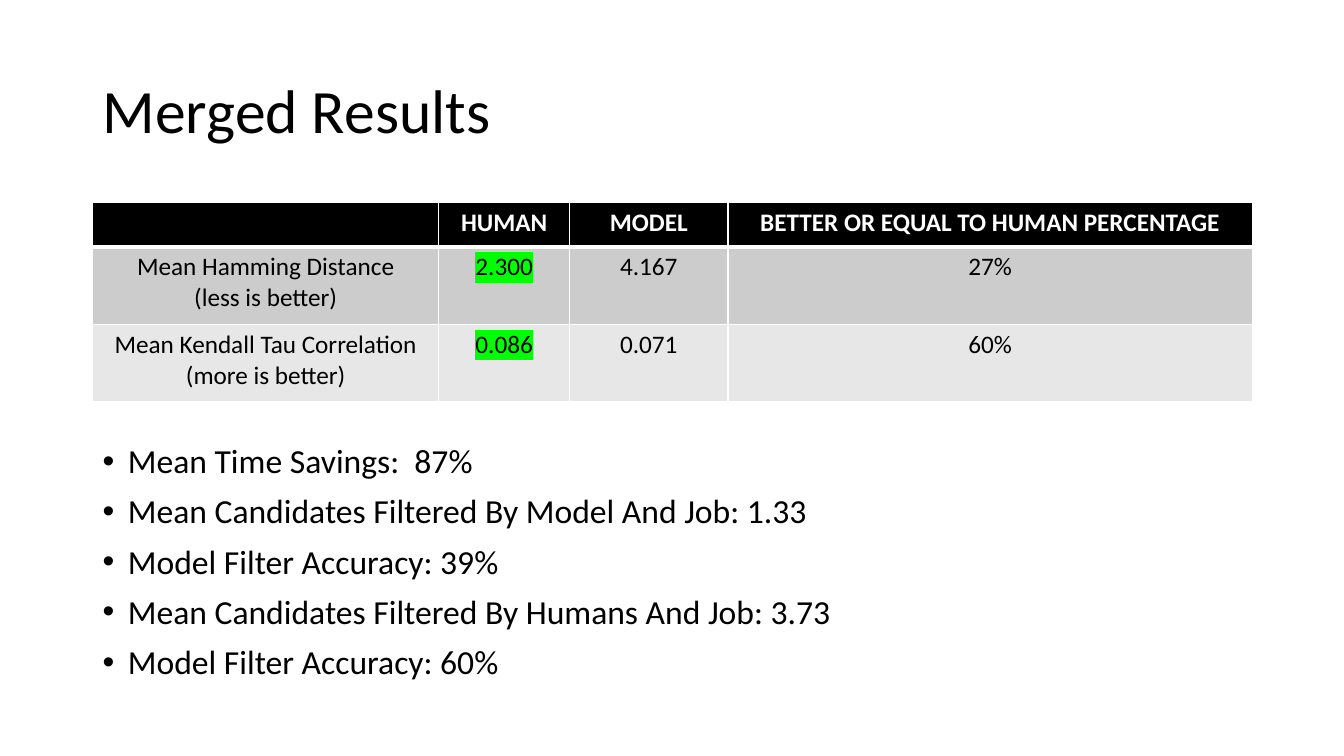
from dataclasses import dataclass

from lxml import etree
from pptx import Presentation
from pptx import util as u
from pptx.dml.color import RGBColor
from pptx.enum import text
from pptx.oxml import ns


@dataclass(frozen=True)
class Theme:
    font: str = "Calibri"
    black: str = "000000"
    white: str = "FFFFFF"
    highlight: str = "00FF00"
    bands: tuple[str, ...] = ("CCCCCC", "E7E7E7")
    title_size: int = 44
    table_size: int = 18
    bullet_size: int = 24


@dataclass(frozen=True)
class Measure:
    name: str
    hint: str
    human: str
    model: str
    share: str


THEME = Theme()
LEFT, WIDTH = 0.92, 11.5
COLUMN_WIDTHS = (3.43, 1.3, 1.57, 5.2)
ROW_HEIGHTS = (0.44, 0.77, 0.77)
HEADERS = ("", "HUMAN", "MODEL", "BETTER OR EQUAL TO HUMAN PERCENTAGE")
MEASURES = (
    Measure("Mean Hamming Distance", "(less is better)", "2.300", "4.167", "27%"),
    Measure("Mean Kendall Tau Correlation", "(more is better)", "0.086", "0.071", "60%"),
)
BULLETS = (
    "Mean Time Savings:  87%",
    "Mean Candidates Filtered By Model And Job: 1.33",
    "Model Filter Accuracy: 39%",
    "Mean Candidates Filtered By Humans And Job: 3.73",
    "Model Filter Accuracy: 60%",
)


def add_run(p, content: str, size: int, color: str = THEME.black, bold: bool = False):
    r = p.add_run()
    r.text = content
    r.font.name = THEME.font
    r.font.size = u.Pt(size)
    r.font.bold = bold
    r.font.color.rgb = RGBColor.from_string(color)
    return r


def highlight(r) -> None:
    """Mark the run's background; the element must follow the text fill."""
    mark = etree.Element(ns.qn("a:highlight"))
    etree.SubElement(mark, ns.qn("a:srgbClr"), val=THEME.highlight)
    r.font._element.find(ns.qn("a:solidFill")).addnext(mark)


def add_text_frame(s, top: float, height: float, anchor: text.MSO_ANCHOR):
    sp = s.shapes.add_textbox(u.Inches(LEFT), u.Inches(top), u.Inches(WIDTH), u.Inches(height))
    tf = sp.text_frame
    tf.word_wrap = True
    tf.vertical_anchor = anchor
    return tf


def add_title(s) -> None:
    p = add_text_frame(s, 0.4, 1.45, text.MSO_ANCHOR.MIDDLE).paragraphs[0]
    p.line_spacing = 0.9
    add_run(p, "Merged Results", THEME.title_size)


def style_cell(cell, fill: str, top: float = 1, bottom: float = 1) -> None:
    """Fill the cell and draw its white borders, with widths in points."""
    cell.fill.solid()
    cell.fill.fore_color.rgb = RGBColor.from_string(fill)
    tc_pr = cell._tc.get_or_add_tcPr()
    for i, (side, width) in enumerate((("L", 1), ("R", 1), ("T", top), ("B", bottom))):
        ln = etree.Element(ns.qn(f"a:ln{side}"), w=str(u.Pt(width)))
        solid = etree.SubElement(ln, ns.qn("a:solidFill"))
        etree.SubElement(solid, ns.qn("a:srgbClr"), val=THEME.white)
        tc_pr.insert(i, ln)


def add_results_table(s) -> None:
    table = s.shapes.add_table(
        len(ROW_HEIGHTS), len(COLUMN_WIDTHS), u.Inches(LEFT), u.Inches(2.01),
        u.Inches(WIDTH), u.Inches(sum(ROW_HEIGHTS)),
    ).table
    for column, width in zip(table.columns, COLUMN_WIDTHS):
        column.width = u.Inches(width)
    for row, height in zip(table.rows, ROW_HEIGHTS):
        row.height = u.Inches(height)

    for col, header in enumerate(HEADERS):
        cell = table.cell(0, col)
        style_cell(cell, THEME.black, bottom=3)
        if header:
            p = cell.text_frame.paragraphs[0]
            p.alignment = text.PP_ALIGN.CENTER
            add_run(p, header, THEME.table_size, THEME.white, bold=True)

    for row, (measure, band) in enumerate(zip(MEASURES, THEME.bands), start=1):
        values = (measure.name, measure.human, measure.model, measure.share)
        for col, value in enumerate(values):
            cell = table.cell(row, col)
            style_cell(cell, band, top=3 if row == 1 else 1)
            p = cell.text_frame.paragraphs[0]
            p.alignment = text.PP_ALIGN.CENTER
            r = add_run(p, value, THEME.table_size)
            if value == measure.name:
                p.add_line_break()
                add_run(p, measure.hint, THEME.table_size)
            elif value == measure.human:
                highlight(r)


def add_bullets(s) -> None:
    tf = add_text_frame(s, 4.36, 2.66, text.MSO_ANCHOR.TOP)
    for i, bullet in enumerate(BULLETS):
        p = tf.add_paragraph() if i else tf.paragraphs[0]
        p.line_spacing = 0.9
        p.space_before = u.Pt(10)
        p_pr = p._p.get_or_add_pPr()
        p_pr.set("marL", str(u.Inches(0.25)))
        p_pr.set("indent", str(-u.Inches(0.25)))
        etree.SubElement(p_pr, ns.qn("a:buFont"), typeface="Arial")
        etree.SubElement(p_pr, ns.qn("a:buChar"), char="•")
        add_run(p, bullet, THEME.bullet_size)


def main() -> None:
    prs = Presentation()
    prs.slide_width, prs.slide_height = u.Inches(13.33), u.Inches(7.5)
    s = prs.slides.add_slide(prs.slide_layouts[6])
    add_title(s)
    add_results_table(s)
    add_bullets(s)
    prs.save("out.pptx")


if __name__ == "__main__":
    main()
